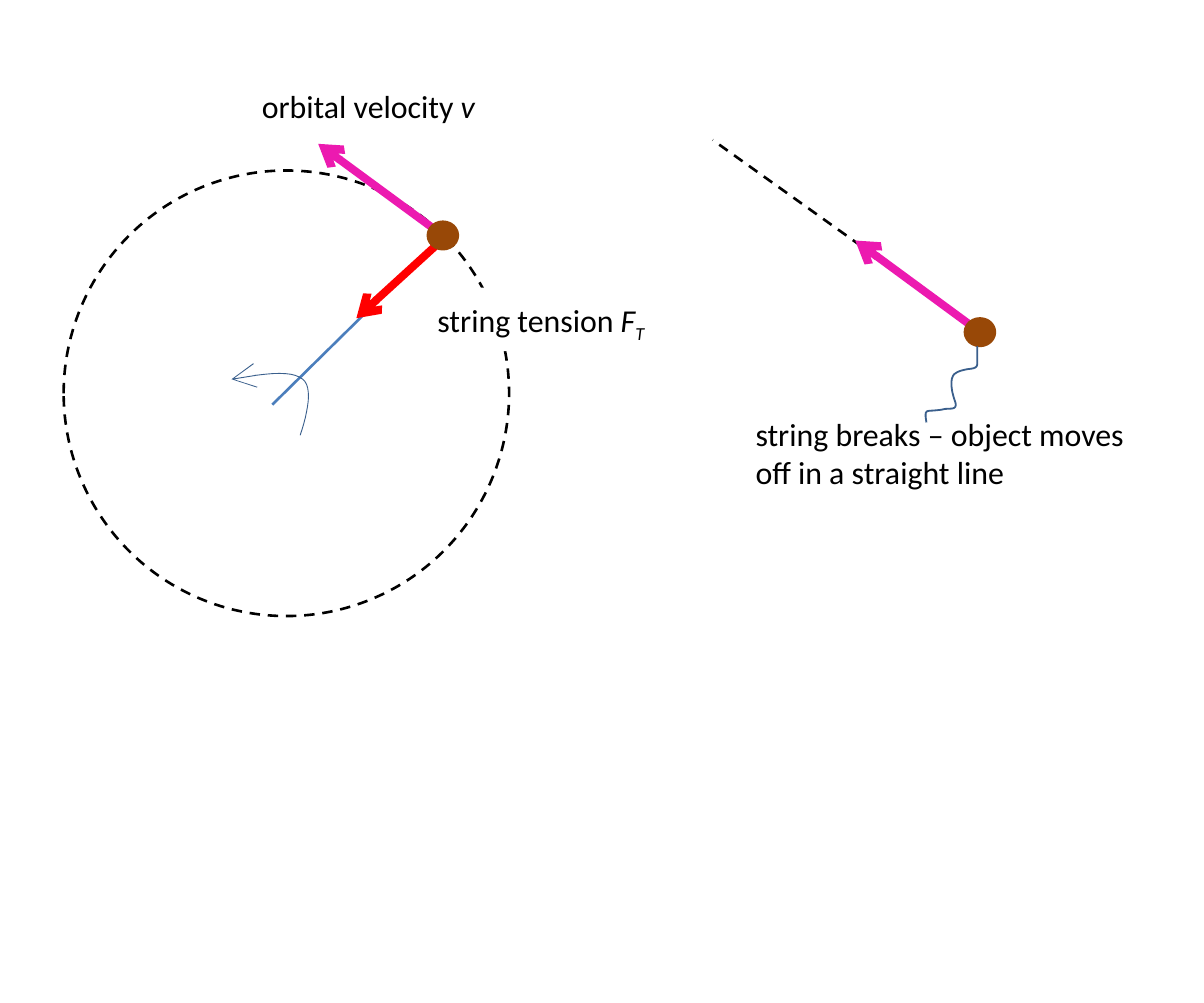
from lxml.etree import SubElement
from pptx import Presentation
from pptx.dml.color import RGBColor
from pptx.enum.dml import MSO_LINE_DASH_STYLE as Dash
from pptx.enum.shapes import MSO_AUTO_SHAPE_TYPE as Preset, MSO_CONNECTOR as Connector
from pptx.oxml.ns import qn
from pptx.util import Inches, Pt

COLUMNS, ROWS = 473, 394
CELL = Inches(0.01)

ORBIT = (25, 67, 175, 175)
BALL_SIZE = (10, 9)
BALL_CENTERS = [(174, 92.5), (385, 130.5)]
VELOCITY = (-49, -36)

BLACK, BROWN, PINK = "000000", "984807", "EC1AB0"
DASHED = {"color": BLACK, "width": 0.75, "dash": Dash.DASH}
TENSION = {"color": "FF0000", "width": 2.25, "arrow": True}
SPEED = {"color": PINK, "width": 2.25, "arrow": True}
STRING = {"color": "4B7EBC", "width": 0.75}
TURN = {"color": "3A5F8C", "width": 0.25, "arrow": True}
LOOSE_STRING = {"color": "3A5F8C", "width": 0.5}
RIM = {"color": BROWN, "width": 2}

TURN_CURVE = [(118, 171), (121, 162), (123, 152), (119, 149),
              (114, 145), (103, 147), (91, 149)]
LOOSE_CURVE = [(384, 136), (384, 138), (384, 141), (384, 143),
               (384, 146), (379, 144), (375, 147),
               (373, 149), (374, 154), (375, 157),
               (377, 162), (373, 160), (370, 161),
               (364, 162), (363, 160), (364, 166)]

ITALIC = {"italic": True}
LABELS = [
    ((93, 29, 105, 25), False, None, [("orbital velocity ", {}, 0), ("v", ITALIC, 0)]),
    ((162, 113, 105, 25), False, "FFFFFF",
     [("string tension ", {}, 0), ("F", ITALIC, 0), ("T", ITALIC, -25000)]),
    ((287, 158, 173, 40), True, None,
     [("string breaks – object moves off in a straight line", {}, 0)]),
]

deck = Presentation()
deck.slide_width, deck.slide_height = COLUMNS * CELL, ROWS * CELL
slide = deck.slides.add_slide(deck.slide_layouts[6])
shapes = slide.shapes


def rgb(code):
    return RGBColor.from_string(code)


def emu(*cells):
    return [round(cell * CELL) for cell in cells]


def stroke(line, color, width, dash=None, arrow=False):
    line.color.rgb = rgb(color)
    line.width = Pt(width)
    if dash:
        line.dash_style = dash
    if arrow:
        SubElement(line._get_or_add_ln(), qn("a:tailEnd"), type="arrow")


def straight(start, end, look):
    connector = shapes.add_connector(Connector.STRAIGHT, *emu(*start, *end))
    stroke(connector.line, **look)
    SubElement(connector._element.spPr, qn("a:effectLst"))


def ellipse(area, look, fill=None):
    oval = shapes.add_shape(Preset.OVAL, *emu(*area))
    oval.shadow.inherit = False
    if fill:
        oval.fill.solid()
        oval.fill.fore_color.rgb = rgb(fill)
    else:
        oval.fill.background()
    stroke(oval.line, **look)


def curve(points, look, steps=12):
    trace = [emu(*points[0])]
    for first in range(0, len(points) - 1, 3):
        bend = points[first:first + 4]
        for step in range(1, steps + 1):
            t = step / steps
            weights = ((1 - t) ** 3, 3 * t * (1 - t) ** 2, 3 * t * t * (1 - t), t ** 3)
            trace.append(emu(*(sum(w * p[axis] for w, p in zip(weights, bend))
                               for axis in (0, 1))))
    builder = shapes.build_freeform(*trace[0])
    builder.add_line_segments(trace[1:], close=False)
    outline = builder.convert_to_shape()
    outline.shadow.inherit = False
    outline.fill.background()
    stroke(outline.line, **look)


def label(area, wrap, fill, parts):
    box = shapes.add_textbox(*emu(*area))
    if fill:
        box.fill.solid()
        box.fill.fore_color.rgb = rgb(fill)
    box.text_frame.word_wrap = wrap
    paragraph = box.text_frame.paragraphs[0]
    for text, extra, baseline in parts:
        run = paragraph.add_run()
        run.text = text
        for name, value in {"name": "Calibri", "size": Pt(9), **extra}.items():
            setattr(run.font, name, value)
        run.font.color.rgb = rgb(BLACK)
        if baseline:
            run._r.get_or_add_rPr().set("baseline", str(baseline))


straight((385, 130), (280, 55), DASHED)
ellipse(ORBIT, DASHED)
straight((107, 159), (174, 93), STRING)
straight((174, 94), (140, 125), TENSION)
curve(TURN_CURVE, TURN)
for x, y in BALL_CENTERS:
    straight((x, y), (x + VELOCITY[0], y + VELOCITY[1]), SPEED)
    width, height = BALL_SIZE
    ellipse((x - width / 2, y - height / 2, width, height), RIM, BROWN)
curve(LOOSE_CURVE, LOOSE_STRING)
for content in LABELS:
    label(*content)

deck.save("out.pptx")
